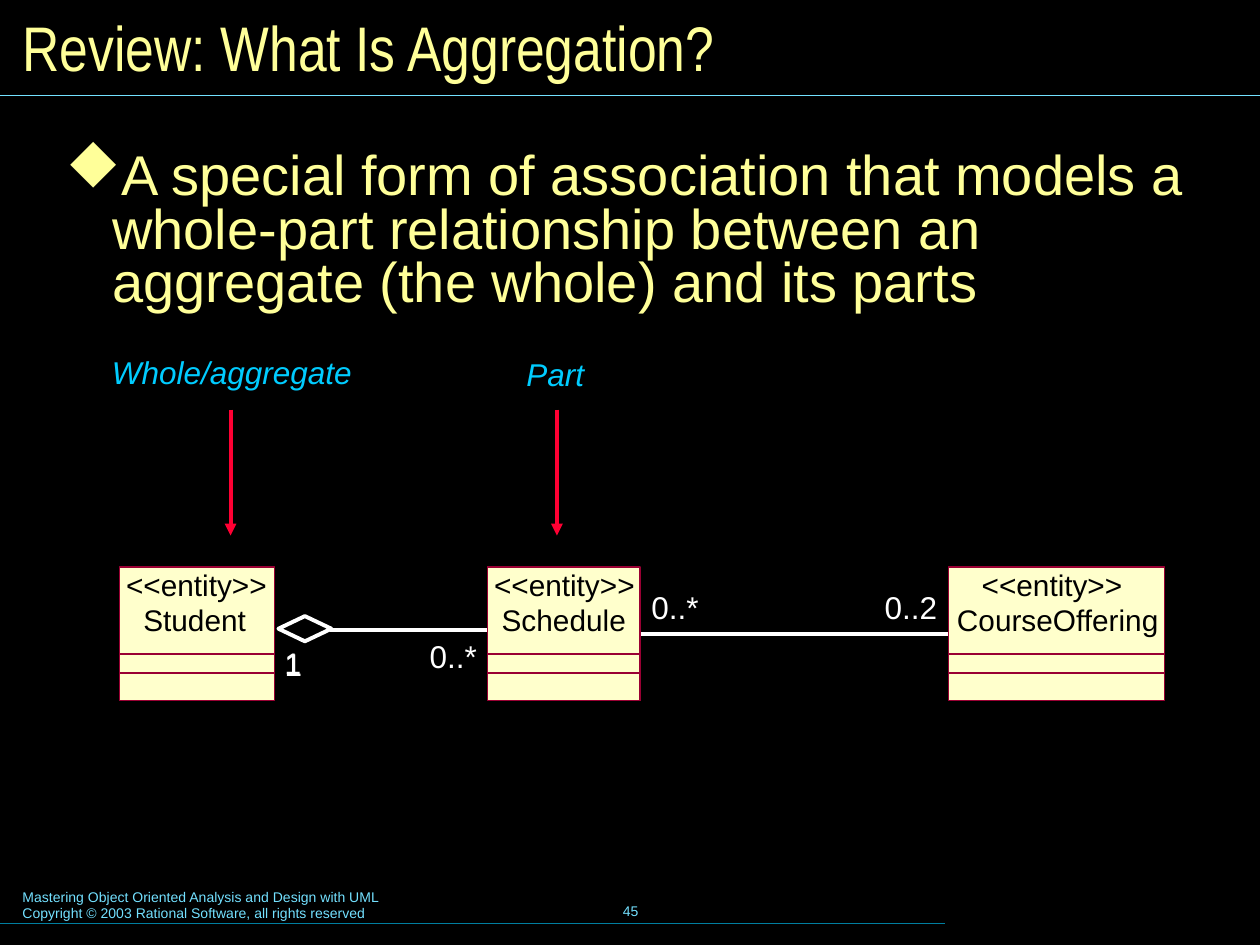
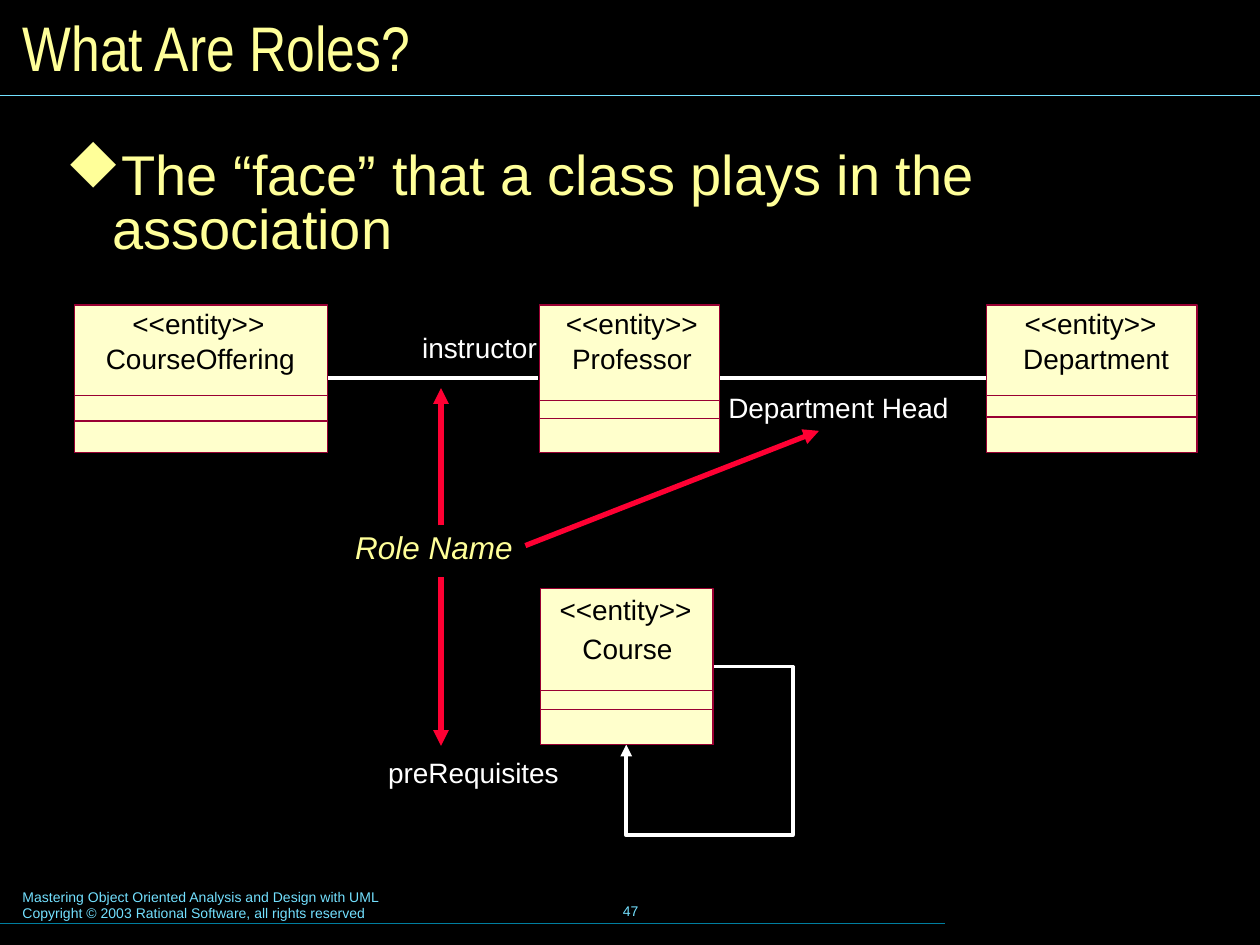
import pptx
import pptx.dml.color
import pptx.enum.shapes
import pptx.enum.text
import pptx.oxml
import pptx.oxml.ns
import pptx.util
from pptx.util import Inches

BLACK, WHITE = "000000", "FFFFFF"
YELLOW, CREAM, MAROON = "FFFF99", "FFFFCC", "990033"
RED, CYAN, SKY, TEAL = "FF0033", "00CCFF", "73E1FF", "007E9F"

FOOTER = ("Mastering Object Oriented Analysis and Design with UML\n"
          "Copyright © 2003 Rational Software, all rights reserved")
STEREOTYPE = "<<entity>>"
DIAMOND_BULLET = "u"  # a diamond in Wingdings

# Content. Class: name, box, (name left, top, width), stereotype (left, top),
# tops of the compartments. Callout: text, left, top, width, colour.
# Label: text, left, top, width, size. Links and arrows: lists of points.
SLIDES = [
    dict(
        title="Review: What Is Aggregation?",
        number="45",
        statement="A special form of association that models a whole-part "
                  "relationship between an aggregate (the whole) and its parts",
        class_size=17,
        stereotype_width=1.12,
        classes=[
            ("CourseOffering", (7.53, 4.5, 1.71, 1.06), (7.59, 4.78, 1.61), (7.79, 4.5), (5.19, 5.34)),
            ("Schedule", (3.87, 4.5, 1.21, 1.06), (3.98, 4.78, 0.99), (3.92, 4.5), (5.19, 5.34)),
            ("Student", (0.95, 4.5, 1.23, 1.06), (1.02, 4.78, 1.05), (1, 4.5), (5.19, 5.34)),
        ],
        links=[[(4.05, 5), (2.62, 5)], [(7.75, 5.03), (4.86, 5.03)]],
        diamond=[(2.21, 4.99), (2.42, 5.09), (2.63, 4.99), (2.42, 4.89)],
        callouts=[("Whole/aggregate", 0.79, 2.75, 2.17, CYAN),
                  ("Part", 4.08, 2.77, 0.89, CYAN)],
        arrows=[[(1.83, 3.25), (1.83, 4.25)], [(4.42, 3.25), (4.42, 4.25)]],
        arrow_width=2.25,
        labels=[("0..2", 7.02, 4.67, 0.42, 18), ("0..*", 5.17, 4.67, 0.38, 18),
                ("1", 2.26, 5.12, 0.13, 17), ("0..*", 3.41, 5.06, 0.38, 18),
                ("1", 2.26, 5.12, 0.14, 18)],
    ),
    dict(
        title="What Are Roles?",
        number="47",
        statement="The “face” that a class plays in the association",
        class_size=16,
        stereotype_width=1.05,
        classes=[
            ("CourseOffering", (0.59, 2.42, 2.01, 1.17), (0.84, 2.71, 1.5), (1.05, 2.43), (3.14, 3.34)),
            ("Professor", (4.28, 2.42, 1.43, 1.17), (4.54, 2.71, 0.95), (4.49, 2.43), (3.18, 3.32)),
            ("Department", (7.83, 2.42, 1.67, 1.17), (8.12, 2.71, 1.16), (8.13, 2.43), (3.14, 3.31)),
            ("Course", (4.29, 4.67, 1.37, 1.24), (4.62, 5.01, 0.72), (4.44, 4.7), (5.48, 5.63)),
        ],
        links=[[(2.57, 3), (4.27, 3)], [(7.85, 3), (5.7, 3)]],
        self_link=[(5.65, 5.29), (6.29, 5.29), (6.29, 6.63), (4.97, 6.63), (4.97, 5.91)],
        callouts=[("Role Name", 2.72, 4.14, 1.51, YELLOW)],
        arrows=[[(3.5, 4.17), (3.5, 3.08)], [(4.17, 4.33), (6.5, 3.42)],
                [(3.5, 4.58), (3.5, 5.92)]],
        arrow_width=3,
        labels=[("instructor", 3.35, 2.62, 0.91, 16),
                ("Department Head", 5.78, 3.1, 1.75, 16),
                ("preRequisites", 3.08, 6, 1.36, 16)],
    ),
]


def rgb(colour):
    return pptx.dml.color.RGBColor.from_string(colour)


def add_element(parent, xml):
    tag, rest = xml.split(" ", 1)
    element = pptx.oxml.parse_xml(f"<a:{tag} {pptx.oxml.ns.nsdecls('a')} {rest}")
    parent.append(element)


def style_text(frame, text, size=18, colour=WHITE, font="Arial", italic=False,
               align="LEFT", anchor="TOP", margins=(0, 0), wrap=False,
               spacing=None, bullet=None):
    """Fill a text frame, one paragraph a line."""
    frame.text = text
    frame.auto_size = pptx.enum.text.MSO_AUTO_SIZE.NONE
    frame.word_wrap = wrap
    frame.vertical_anchor = getattr(pptx.enum.text.MSO_ANCHOR, anchor)
    frame.margin_left = frame.margin_right = Inches(margins[0])
    frame.margin_top = frame.margin_bottom = Inches(margins[1])
    for paragraph in frame.paragraphs:
        paragraph.alignment = getattr(pptx.enum.text.PP_ALIGN, align)
        paragraph.space_before = pptx.util.Pt(0)
        if spacing:
            paragraph.line_spacing = spacing
        if bullet:
            properties = paragraph._p.get_or_add_pPr()
            properties.set("marL", str(Inches(0.37)))
            properties.set("indent", str(-Inches(0.37)))
            add_element(properties, f'buClr ><a:srgbClr val="{colour}"/></a:buClr>')
            add_element(properties, 'buFont typeface="Wingdings" pitchFamily="2" charset="2"/>')
            add_element(properties, f'buChar char="{bullet}"/>')
        for run in paragraph.runs:
            run.font.name = font
            run.font.size = pptx.util.Pt(size)
            run.font.italic = italic
            run.font.color.rgb = rgb(colour)


def write(slide, text, left, top, width, height=0.3, **style):
    box = slide.shapes.add_textbox(*map(Inches, (left, top, width, height)))
    style_text(box.text_frame, text, **style)


def style_line(line, colour, width, arrow=False):
    line.color.rgb = rgb(colour)
    line.width = pptx.util.Pt(width)
    if arrow:
        add_element(line._get_or_add_ln(), 'tailEnd type="triangle"/>')


def connect(slide, points, colour, width, arrow=False):
    (x1, y1), (x2, y2) = points
    link = slide.shapes.add_connector(pptx.enum.shapes.MSO_CONNECTOR.STRAIGHT,
                                      *map(Inches, (x1, y1, x2, y2)))
    style_line(link.line, colour, width, arrow)
    add_element(link._element.spPr, "effectLst />")


def outline(slide, points, close=False, arrow=False):
    first, *others = [tuple(map(Inches, point)) for point in points]
    builder = slide.shapes.build_freeform(*first)
    builder.add_line_segments(others, close=close)
    path_shape = builder.convert_to_shape()
    path_shape.shadow.inherit = False
    path_shape.fill.background()
    style_line(path_shape.line, WHITE, 2.25, arrow)


def add_rect(slide, left, top, width, height, fill=None):
    rect = slide.shapes.add_shape(pptx.enum.shapes.MSO_SHAPE.RECTANGLE,
                                  *map(Inches, (left, top, width, height)))
    rect.shadow.inherit = False
    if fill:
        rect.fill.solid()
        rect.fill.fore_color.rgb = rgb(fill)
    else:
        rect.fill.background()
    style_line(rect.line, MAROON, 0)


def add_class(slide, content, name, box, name_at, stereotype_at, compartments):
    left, top, width, height = box
    add_rect(slide, *box, fill=CREAM)
    for start in compartments:
        add_rect(slide, left, start, width, top + height - start)
    style = dict(size=content["class_size"], colour=BLACK, align="CENTER")
    write(slide, STEREOTYPE, *stereotype_at, content["stereotype_width"], **style)
    write(slide, name, *name_at, **style)


def add_frame(slide, content):
    """Title, rules, footer and slide number."""
    title = slide.shapes.title
    title.left, title.top, title.width, title.height = map(Inches, (0.08, 0.08, 9.84, 0.58))
    style_text(title.text_frame, content["title"], size=36, colour=YELLOW,
               font="Arial Narrow", anchor="MIDDLE", margins=(0.1, 0.05), wrap=True)
    connect(slide, [(0, 7.33), (7.5, 7.33)], TEAL, 0.75)
    connect(slide, [(0, 0.76), (10, 0.76)], SKY, 0.75)
    small = dict(size=8, colour=SKY, margins=(0.1, 0.05))
    write(slide, FOOTER, 0.08, 7, 5.1, 0.37, wrap=True, **small)
    write(slide, content["number"], 3.42, 6.98, 3.17, 0.5,
          align="CENTER", anchor="MIDDLE", **small)


def build_slide(deck, content):
    slide = deck.slides.add_slide(deck.slide_layouts.get_by_name("Title Only"))
    add_frame(slide, content)
    write(slide, content["statement"], 0.4, 1.15, 9.29, 5.52, size=32, colour=YELLOW,
          margins=(0.12, 0.06), wrap=True, spacing=0.8, bullet=DIAMOND_BULLET)

    # Associations lie behind the classes
    for points in content["links"]:
        connect(slide, points, WHITE, 2.25)
    if "self_link" in content:
        outline(slide, content["self_link"], arrow=True)
    for entity in content["classes"]:
        add_class(slide, content, *entity)
    if "diamond" in content:
        outline(slide, content["diamond"], close=True)

    # Callouts, their arrows, and the labels on the associations
    for text, left, top, width, colour in content["callouts"]:
        write(slide, text, left, top, width, 0.4, colour=colour, italic=True,
              margins=(0.1, 0.05), wrap=True)
    for points in content["arrows"]:
        connect(slide, points, RED, content["arrow_width"], arrow=True)
    for text, left, top, width, size in content["labels"]:
        write(slide, text, left, top, width, size=size)


def main():
    deck = pptx.Presentation()
    deck.slide_width, deck.slide_height = Inches(10), Inches(7.5)
    backdrop = deck.slide_master.background.fill
    backdrop.solid()
    backdrop.fore_color.rgb = rgb(BLACK)
    for content in SLIDES:
        build_slide(deck, content)
    deck.save("out.pptx")


if __name__ == "__main__":
    main()
